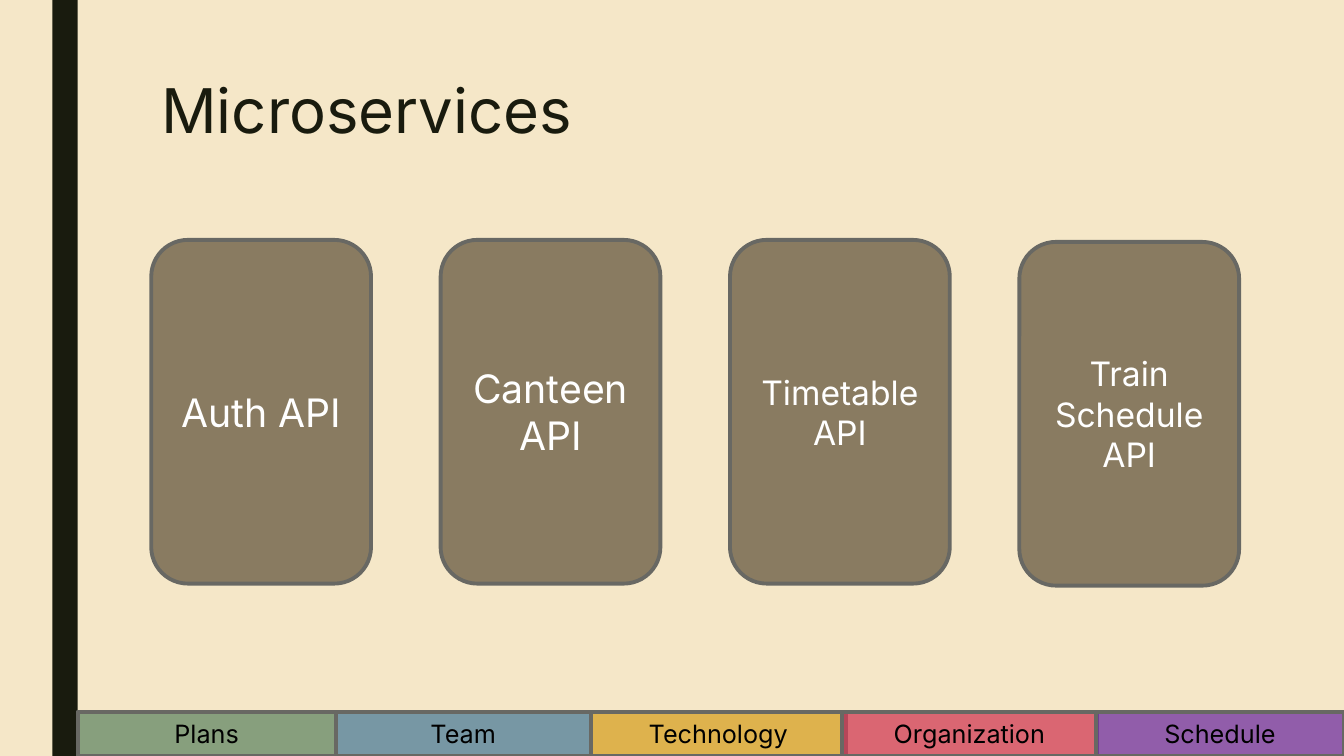
from dataclasses import dataclass

from lxml.etree import SubElement
from pptx import Presentation
from pptx.dml.color import RGBColor as Rgb
from pptx.enum.shapes import MSO_SHAPE as Shape
from pptx.enum.text import MSO_ANCHOR as Anchor, MSO_AUTO_SIZE as Fit, PP_ALIGN as Align
from pptx.oxml.ns import qn
from pptx.util import Inches, Pt


@dataclass(frozen=True)
class Theme:
    font: str = "Inter"
    back: str = "F5E7C8"
    dark: str = "191B0E"
    card: str = "897B61"
    edge: str = "686863"
    light: str = "FFFFFF"
    black: str = "000000"
    head: int = 44
    large: int = 28
    mid: int = 24
    small: int = 18
    line: float = 2.75
    alpha: int = 75


THEME = Theme()

TABS = [
    ("Plans", 0.77, 2.56, "638764"),
    ("Team", 3.33, 2.53, "4D7D99"),
    ("Technology", 5.86, 2.53, "D7A124"),
    ("Organization", 8.35, 2.53, "D13B56"),
    ("Schedule", 10.87, 2.46, "7030A0"),
]

CARDS = [
    ("Auth API", 2.38, THEME.large),
    ("Canteen API", 2.38, THEME.large),
    ("Timetable API", 2.38, THEME.mid),
    ("Train Schedule API", 2.4, THEME.mid),
]


def set_text(frame, text, size, color, align, anchor):
    frame.text = text
    frame.word_wrap = True
    frame.auto_size = Fit.NONE
    frame.vertical_anchor = anchor
    para = frame.paragraphs[0]
    para.alignment = align
    font = para.runs[0].font
    font.name = THEME.font
    font.size = Pt(size)
    font.color.rgb = Rgb.from_string(color)


def add_box(slide, kind, box, fill):
    shape = slide.shapes.add_shape(kind, *map(Inches, box))
    shape.shadow.inherit = False
    shape.fill.solid()
    shape.fill.fore_color.rgb = Rgb.from_string(fill)
    shape.line.fill.background()
    return shape


def add_label(slide, kind, box, fill, text, size, color):
    shape = add_box(slide, kind, box, fill)
    shape.line.color.rgb = Rgb.from_string(THEME.edge)
    shape.line.width = Pt(THEME.line)
    set_text(shape.text_frame, text, size, color, Align.CENTER, Anchor.MIDDLE)
    return shape


def fade(shape, alpha):
    color = shape.element.spPr.find(qn("a:solidFill")).find(qn("a:srgbClr"))
    SubElement(color, qn("a:alpha")).set("val", str(alpha * 1000))


def add_title(slide, text):
    title = slide.shapes.title
    title.left, title.top = Inches(1.5), Inches(0.75)
    title.width, title.height = Inches(10.5), Inches(1.62)
    set_text(title.text_frame, text, THEME.head, THEME.dark, Align.LEFT, Anchor.TOP)
    title.text_frame.paragraphs[0].line_spacing = 0.89


def add_tabs(slide):
    for text, left, width, fill in TABS:
        box = (left, 7.06, width, 0.44)
        tab = add_label(slide, Shape.RECTANGLE, box, fill, text, THEME.small, THEME.black)
        fade(tab, THEME.alpha)


def add_cards(slide):
    for index, (text, top, size) in enumerate(CARDS):
        box = (1.5 + index * 2.87, top, 2.18, 3.41)
        add_label(slide, Shape.ROUNDED_RECTANGLE, box, THEME.card, text, size, THEME.light)


def main():
    deck = Presentation()
    deck.slide_width, deck.slide_height = Inches(13.33), Inches(7.5)
    slide = deck.slides.add_slide(deck.slide_layouts[5])
    slide.background.fill.solid()
    slide.background.fill.fore_color.rgb = Rgb.from_string(THEME.back)
    add_box(slide, Shape.RECTANGLE, (0.52, 0, 0.25, 7.5), THEME.dark)
    add_tabs(slide)
    add_title(slide, "Microservices")
    add_cards(slide)
    deck.save("out.pptx")


if __name__ == "__main__":
    main()
